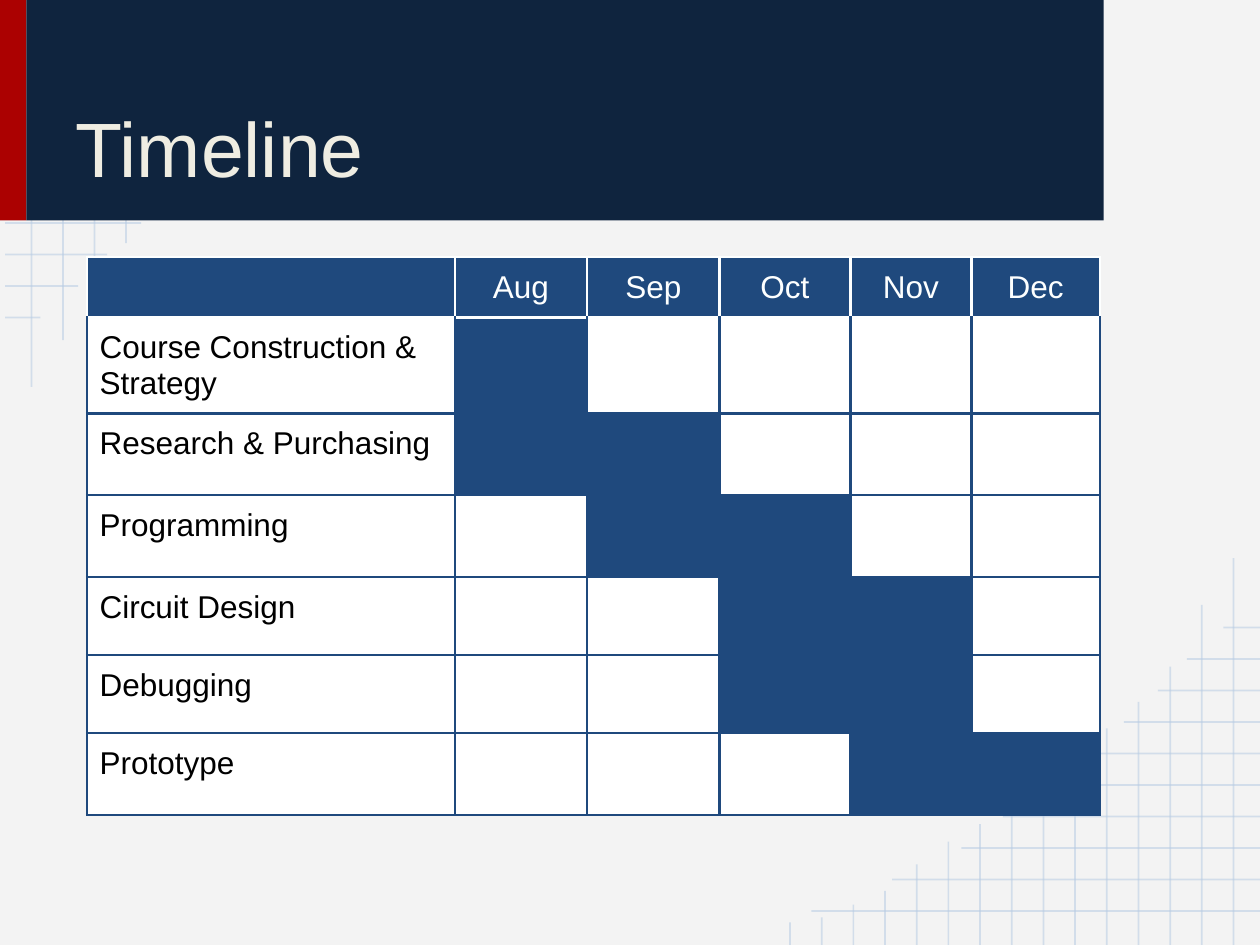
from lxml import etree
from pptx import Presentation
from pptx.dml.color import RGBColor
from pptx.enum.shapes import MSO_CONNECTOR, MSO_SHAPE
from pptx.enum.text import MSO_ANCHOR, MSO_AUTO_SIZE, PP_ALIGN
from pptx.oxml import parse_xml
from pptx.oxml.ns import nsdecls, qn
from pptx.util import Inches, Pt

STRAIGHT, RECTANGLE = MSO_CONNECTOR.STRAIGHT, MSO_SHAPE.RECTANGLE
BOTTOM, NO_AUTOFIT = MSO_ANCHOR.BOTTOM, MSO_AUTO_SIZE.NONE
LEFT, CENTER = PP_ALIGN.LEFT, PP_ALIGN.CENTER

PAPER = RGBColor(0xF3, 0xF3, 0xF3)
GRID_BLUE = RGBColor(0xB7, 0xCC, 0xE4)
RED = RGBColor(0xAB, 0x01, 0x01)
NAVY = RGBColor(0x0F, 0x24, 0x3E)
CREAM = RGBColor(0xEF, 0xED, 0xE2)
BLUE = RGBColor(0x1F, 0x49, 0x7D)
HEADER_WHITE = RGBColor(0xFD, 0xFF, 0xFF)
WHITE = RGBColor(0xFF, 0xFF, 0xFF)
BLACK = RGBColor(0x00, 0x00, 0x00)

WIDTH, HEIGHT = 10, 7.5
GRID_STEP = 0.25
BAND_HEIGHT = 1.75

presentation = Presentation()
presentation.slide_width, presentation.slide_height = Inches(WIDTH), Inches(HEIGHT)
slide = presentation.slides.add_slide(presentation.slide_layouts[5])
slide.background.fill.solid()
slide.background.fill.fore_color.rgb = PAPER


def add_grid_line(x1, y1, x2, y2):
    line = slide.shapes.add_connector(
        STRAIGHT, Inches(x1), Inches(y1), Inches(x2), Inches(y2))
    line.line.width = Pt(1)
    line.line.color.rgb = GRID_BLUE
    color = line._element.find(".//" + qn("a:srgbClr"))
    etree.SubElement(color, qn("a:alpha")).set("val", "54000")
    etree.SubElement(line._element.spPr, qn("a:effectLst"))


def set_borders(cell, colors):
    """Give the left, right, top and bottom sides their colours."""
    properties = cell._tc.get_or_add_tcPr()
    for position, (side, color) in enumerate(zip("LRTB", colors)):
        properties.insert(position, parse_xml(
            f'<a:ln{side} {nsdecls("a")} w="{Pt(1.5)}"><a:solidFill>'
            f'<a:srgbClr val="{color}"/></a:solidFill></a:ln{side}>'))


# Graph paper below the band on the left: where each line ends
for index, right in enumerate([1.12, 0.85, 0.62, 0.32]):
    y = 1.77 + index * GRID_STEP
    add_grid_line(0.04, y, right, y)
for index, bottom in enumerate([3.07, 2.7, 2.21, 1.93], start=1):
    add_grid_line(index * GRID_STEP, 0, index * GRID_STEP, bottom)

# Graph paper in the bottom right corner, outward from the corner's far ends
for index, left in enumerate([6.44, 7.08, 7.63, 7.96, 8.37, 8.67, 8.92, 9.19, 9.42, 9.71]):
    y = 7.23 - index * GRID_STEP
    add_grid_line(WIDTH, y, left, y)
column_tops = [4.43, 4.8, 5.29, 5.57, 5.78, 5.95, 6.19, 6.35,
               6.54, 6.68, 6.86, 7.07, 7.18, 7.28, 7.32]
for index, top in enumerate(column_tops):
    x = 9.79 - index * (9.79 - 6.27) / (len(column_tops) - 1)
    add_grid_line(x, top, x, HEIGHT)

# Title band
for left, width, color in [(0, 0.21, RED), (0.21, 8.55, NAVY)]:
    band = slide.shapes.add_shape(
        RECTANGLE, Inches(left), 0, Inches(width), Inches(BAND_HEIGHT))
    band.shadow.inherit = False
    band.fill.solid()
    band.fill.fore_color.rgb = color
    band.line.fill.background()

title = slide.shapes.title
slide.shapes._spTree.append(title._element)
title.left, title.top, title.width, title.height = map(Inches, (0.5, 0.15, 8, 1.48))
title.text = "Timeline"
frame_format = {"vertical_anchor": BOTTOM, "auto_size": NO_AUTOFIT, "word_wrap": True}
for side in ("left", "right", "top", "bottom"):
    frame_format[f"margin_{side}"] = Inches(0.1)
for name, value in frame_format.items():
    setattr(title.text_frame, name, value)
heading = title.text_frame.paragraphs[0]
heading.alignment = LEFT
heading.font.name, heading.font.size = "Arial", Pt(44)
heading.font.color.rgb = CREAM

# Schedule: each task with its active months
months = ["Aug", "Sep", "Oct", "Nov", "Dec"]
tasks = [
    ("Course Construction & Strategy", {"Aug"}),
    ("Research & Purchasing", {"Aug", "Sep"}),
    ("Programming", {"Sep", "Oct"}),
    ("Circuit Design", {"Oct", "Nov"}),
    ("Debugging", {"Oct", "Nov"}),
    ("Prototype", {"Nov", "Dec"}),
]
column_widths = [2.92, 1.05, 1.05, 1.04, 0.96, 1.02]
row_heights = [0.47, 0.76, 0.65, 0.65, 0.62, 0.62, 0.65]
table = slide.shapes.add_table(
    len(row_heights), len(column_widths), Inches(0.69), Inches(2.04),
    Inches(sum(column_widths)), Inches(sum(row_heights))).table
for column, width in zip(table.columns, column_widths):
    column.width = Inches(width)
for row, height in zip(table.rows, row_heights):
    row.height = Inches(height)

rows = [("", set(months))] + tasks
for row_index, (task, active) in enumerate(rows):
    is_header = row_index == 0
    for column_index, month in enumerate([""] + months):
        cell = table.cell(row_index, column_index)
        if column_index == 0:
            cell.text = task
        elif is_header:
            cell.text = month
        for side in ("left", "right", "top", "bottom"):
            setattr(cell, f"margin_{side}", Inches(0.1))
        cell.fill.solid()
        cell.fill.fore_color.rgb = BLUE if is_header or month in active else WHITE
        edge = HEADER_WHITE if is_header else BLUE
        top_edge = HEADER_WHITE if row_index <= 1 else BLUE
        set_borders(cell, (edge, edge, top_edge, edge))
        paragraph = cell.text_frame.paragraphs[0]
        paragraph.alignment = CENTER if is_header else LEFT
        font_format = {"name": "Arial", "size": Pt(18), "bold": False}
        for name, value in font_format.items():
            setattr(paragraph.font, name, value)
        paragraph.font.color.rgb = HEADER_WHITE if is_header else BLACK

presentation.save("out.pptx")
